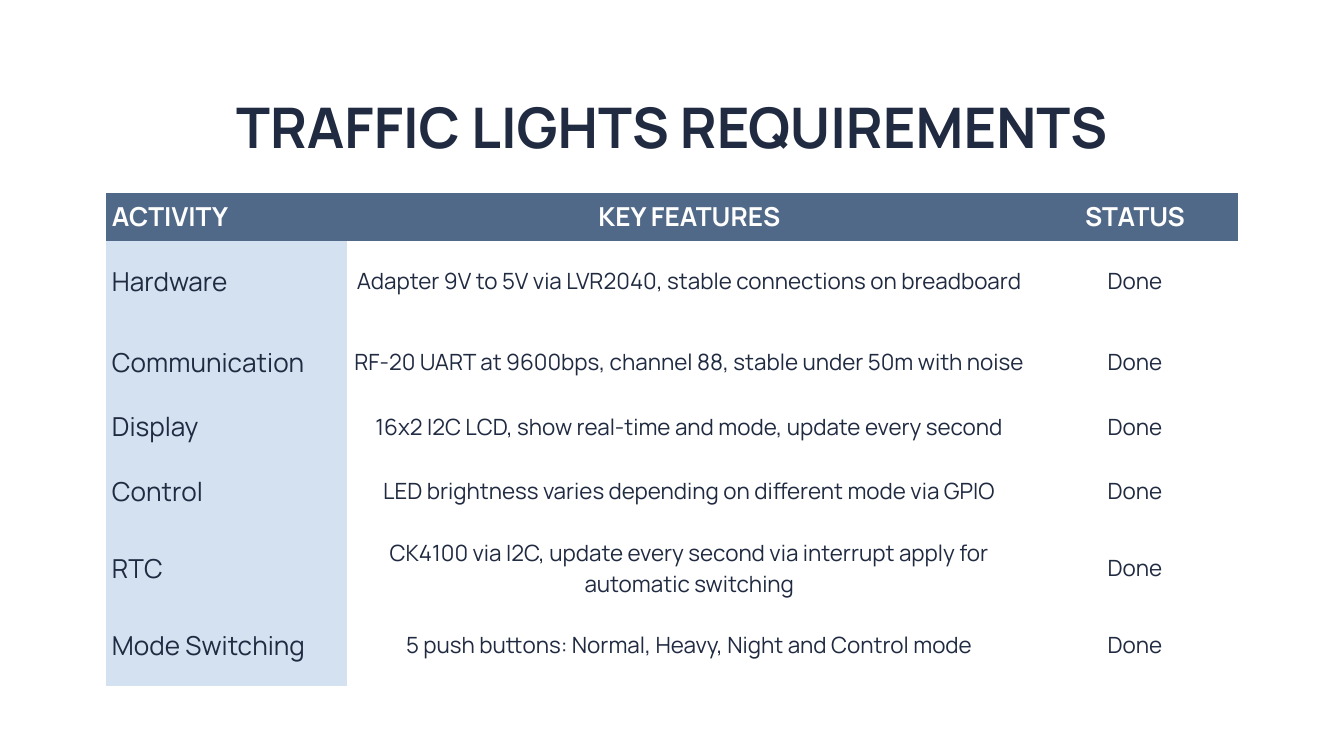
import pptx
import pptx.util
import pptx.dml.color
import pptx.enum.text
import pptx.oxml.ns

PX = 914400 / 134.4
FONT = "Manrope"
NO_STYLE = "{2D5ABB26-0587-4C30-8999-92F81FD0307C}"
COLORS = {"ink": "202A41", "header": "516988", "activity": "D3E1F1", "white": "FFFFFF"}
LEFT, CENTER = pptx.enum.text.PP_ALIGN.LEFT, pptx.enum.text.PP_ALIGN.CENTER


def px(n):
    return pptx.util.Emu(round(n * PX))


def add_text(tf, text, size, color, bold, align):
    p = tf.paragraphs[0]
    p.alignment = align
    r = p.add_run()
    r.text = text
    r.font.name = FONT
    r.font.size = pptx.util.Pt(size)
    r.font.bold = bold
    r.font.color.rgb = pptx.dml.color.RGBColor.from_string(COLORS[color])


prs = pptx.Presentation()
prs.slide_width, prs.slide_height = px(1344), px(756)
s = prs.slides.add_slide(prs.slide_layouts[5])

# Title
sp = s.shapes.title
sp.left, sp.top, sp.width, sp.height = px(106), px(79), px(1132), px(85)
tf = sp.text_frame
tf.word_wrap = True
tf.auto_size = pptx.enum.text.MSO_AUTO_SIZE.NONE
tf.vertical_anchor = pptx.enum.text.MSO_ANCHOR.TOP
tf.margin_left = tf.margin_right = tf.margin_bottom = px(13)
tf.margin_top = px(14)
add_text(tf, "TRAFFIC LIGHTS REQUIREMENTS", 30, "ink", True, CENTER)

# Requirements table
rows = [
    ("ACTIVITY", "KEY FEATURES", "STATUS"),
    ("Hardware", "Adapter 9V to 5V via LVR2040, stable connections on breadboard", "Done"),
    ("Communication", "RF-20 UART at 9600bps, channel 88, stable under 50m with noise", "Done"),
    ("Display", "16x2 I2C LCD, show real-time and mode, update every second", "Done"),
    ("Control", "LED brightness varies depending on different mode via GPIO", "Done"),
    ("RTC", "CK4100 via I2C, update every second via interrupt apply for automatic switching", "Done"),
    ("Mode Switching", "5 push buttons: Normal, Heavy, Night and Control mode", "Done"),
]
col_widths = [241, 685, 206]
row_heights = [47, 81, 81, 47, 81, 47, 81]

table = s.shapes.add_table(len(rows), len(col_widths), px(106), px(193),
                           px(sum(col_widths)), px(sum(row_heights))).table
table.first_row = table.horz_banding = False
for column, width in zip(table.columns, col_widths):
    column.width = px(width)
for row, height in zip(table.rows, row_heights):
    row.height = px(height)

# A style without borders
style = next(table._tbl.iter(pptx.oxml.ns.qn("a:tableStyleId")))
style.text = NO_STYLE

for i, texts in enumerate(rows):
    for j, text in enumerate(texts):
        header, activity = i == 0, j == 0
        cell = table.cell(i, j)
        fill = "header" if header else "activity" if activity else "white"
        cell.fill.solid()
        cell.fill.fore_color.rgb = pptx.dml.color.RGBColor.from_string(COLORS[fill])
        cell.vertical_anchor = pptx.enum.text.MSO_ANCHOR.MIDDLE
        cell.margin_left = cell.margin_right = px(6)
        cell.margin_top = cell.margin_bottom = px(6)
        add_text(cell.text_frame, text, 14 if header or activity else 12,
                 "white" if header else "ink", header, LEFT if activity else CENTER)

prs.save("out.pptx")
